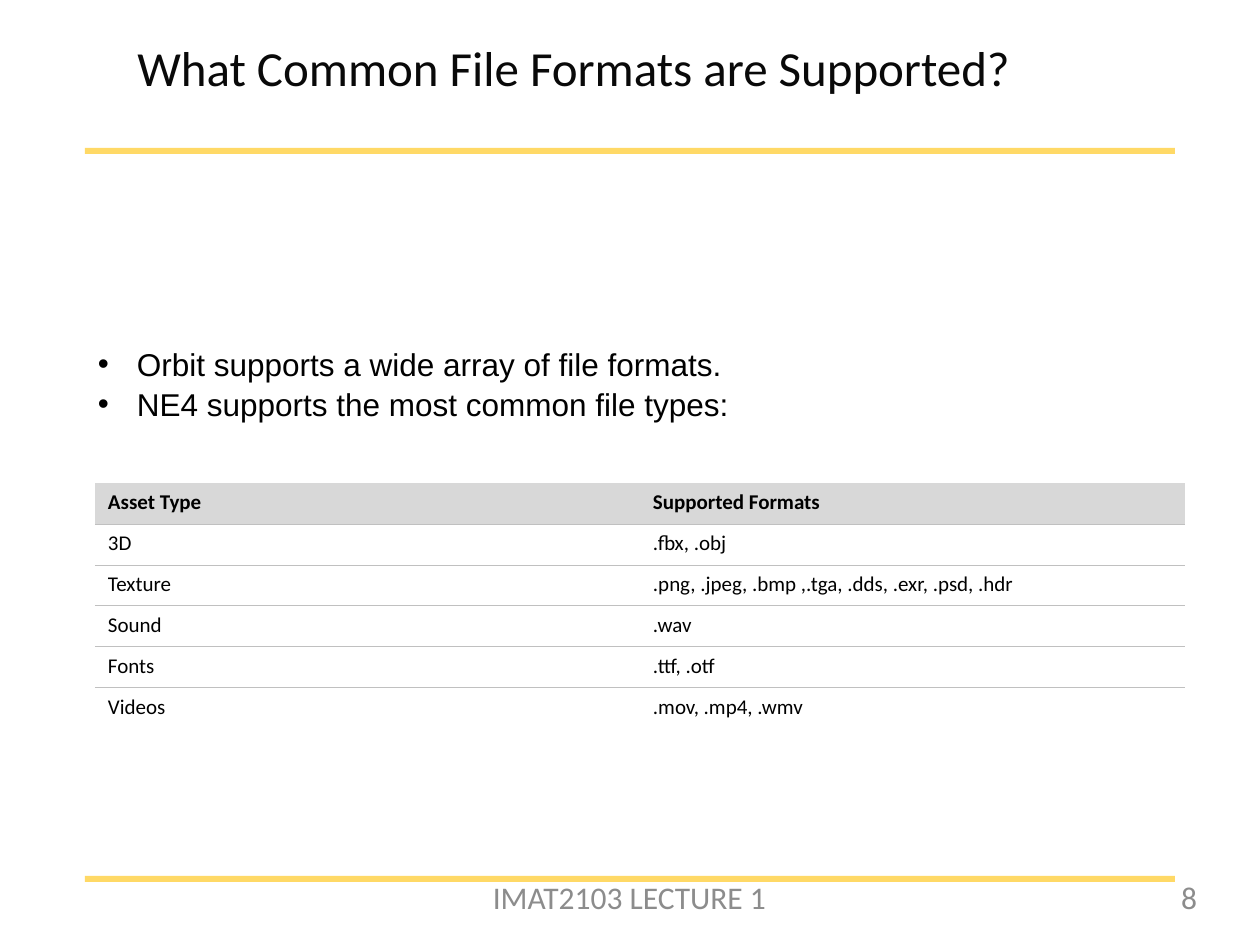
"""Build the slide on supported asset file formats."""
import lxml.etree
import pptx
import pptx.dml.color
import pptx.enum.shapes
import pptx.enum.text
import pptx.oxml.ns
import pptx.util

PX = 914400 // 126
ALIGN = pptx.enum.text.PP_ALIGN
qn = pptx.oxml.ns.qn


def color(value):
    return pptx.dml.color.RGBColor.from_string(value)


def write(frame, lines, size, font, ink, align, margins, bold=False):
    frame.word_wrap = True
    frame.margin_left, frame.margin_top, frame.margin_right, frame.margin_bottom = [
        margin * PX for margin in margins]
    frame.text = "\n".join(lines)
    for para in frame.paragraphs:
        para.alignment = align
        for span in para.runs:
            span.font.size = pptx.util.Pt(size)
            span.font.name = font
            span.font.bold = bold
            span.font.color.rgb = color(ink)


deck = pptx.Presentation()
deck.slide_width, deck.slide_height = 1260 * PX, 945 * PX
page = deck.slides.add_slide(deck.slide_layouts[5])

for top in (148, 876):
    rule = page.shapes.add_shape(
        pptx.enum.shapes.MSO_SHAPE.RECTANGLE, 85 * PX, top * PX, 1090 * PX, 6 * PX)
    rule.shadow.inherit = False
    rule.fill.solid()
    rule.fill.fore_color.rgb = color("FFD966")
    rule.line.fill.background()

title = page.shapes.title
title.left, title.top, title.width, title.height = 86 * PX, 37 * PX, 975 * PX, 59 * PX
write(title.text_frame, ["What Common File Formats are Supported?"], 28, "Calibri",
      "090909", ALIGN.CENTER, (0, 0, 0, 0))
title.text_frame.vertical_anchor = pptx.enum.text.MSO_ANCHOR.TOP

body = page.shapes.add_textbox(86 * PX, 306 * PX, 659 * PX, 143 * PX)
body.fill.solid()
body.fill.fore_color.rgb = color("FFFFFF")
write(body.text_frame, ["Orbit supports a wide array of file formats.",
                        "NE4 supports the most common file types:"],
      18, "Arial", "000000", ALIGN.LEFT, (12, 38, 12, 28))
body.text_frame.vertical_anchor = pptx.enum.text.MSO_ANCHOR.MIDDLE
for para in body.text_frame.paragraphs:
    para.line_spacing = 1.06
    properties = para._p.get_or_add_pPr()
    properties.set("marL", str(39 * PX))
    properties.set("indent", str(-39 * PX))
    lxml.etree.SubElement(properties, qn("a:buFont"), typeface="Arial")
    lxml.etree.SubElement(properties, qn("a:buChar"), char="•")

for text, left, width, align in (("IMAT2103 LECTURE 1", 428, 403, ALIGN.CENTER),
                                 ("8", 907, 290, ALIGN.RIGHT)):
    footer = page.shapes.add_textbox(left * PX, 878 * PX, width * PX, 48 * PX)
    write(footer.text_frame, [text], 18, "Calibri", "8C8C8C", align, (0, 0, 0, 0))

rows = [
    ("Asset Type", "Supported Formats"),
    ("3D", ".fbx, .obj"),
    ("Texture", ".png, .jpeg, .bmp ,.tga, .dds, .exr, .psd, .hdr"),
    ("Sound", ".wav"),
    ("Fonts", ".ttf, .otf"),
    ("Videos", ".mov, .mp4, .wmv"),
]
formats = page.shapes.add_table(
    len(rows), 2, 95 * PX, 483 * PX, 1090 * PX, 41 * len(rows) * PX).table
formats.horz_banding = False
for row, texts in enumerate(rows):
    header = row == 0
    for column, text in enumerate(texts):
        cell = formats.cell(row, column)
        write(cell.text_frame, [text], 12, "Calibri", "000000", ALIGN.LEFT,
              (0, 0, 0, 0), header)
        cell.margin_left = cell.margin_right = 13 * PX
        cell.margin_top = cell.margin_bottom = 7 * PX
        properties = cell._tc.get_or_add_tcPr()
        for side in ("L", "R", "T", "B"):
            border = lxml.etree.SubElement(properties, qn("a:ln" + side), w="6350")
            inner = side == "T" and row > 0 or side == "B" and row < len(rows) - 1
            if inner:
                fill = lxml.etree.SubElement(border, qn("a:solidFill"))
                lxml.etree.SubElement(fill, qn("a:srgbClr"), val="C0C0C0")
            else:
                lxml.etree.SubElement(border, qn("a:noFill"))
        cell.fill.solid()
        cell.fill.fore_color.rgb = color("D8D8D8" if header else "FFFFFF")

deck.save("out.pptx")
